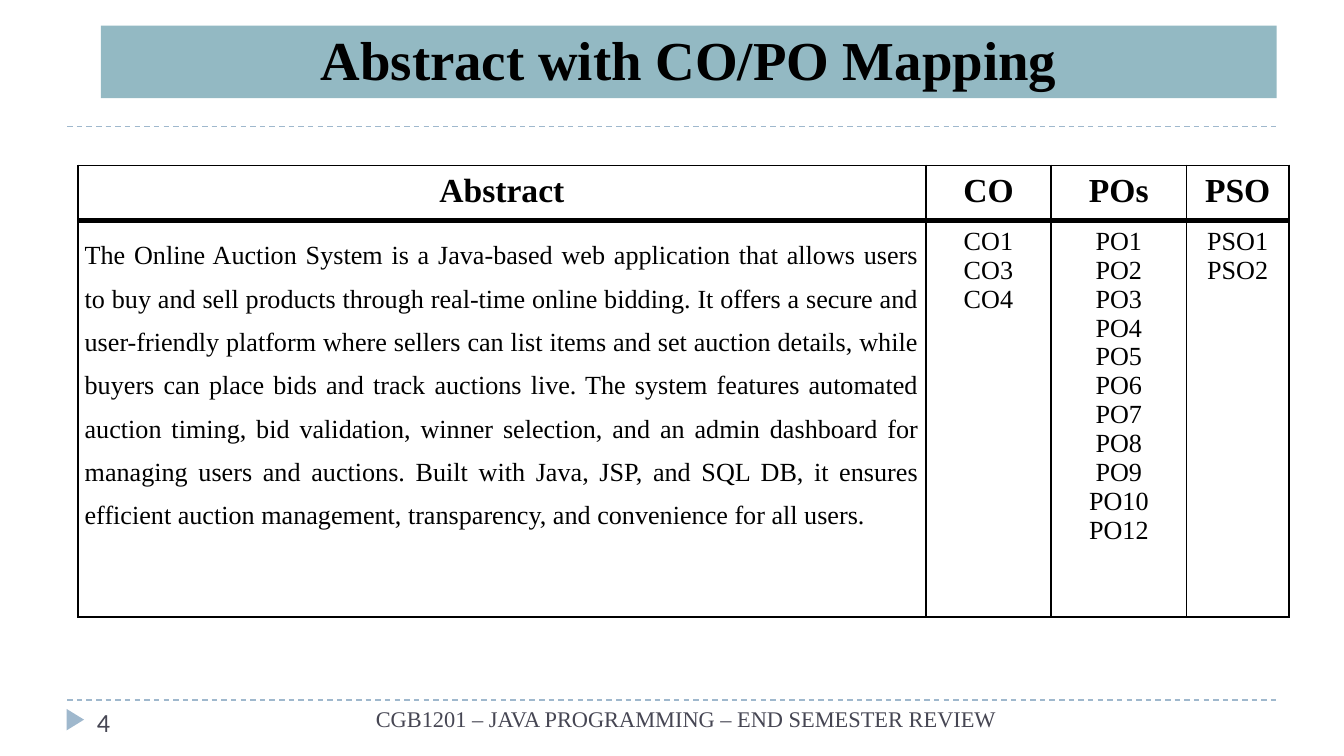
from lxml.etree import SubElement
from pptx import Presentation
from pptx.dml.color import RGBColor
from pptx.enum.dml import MSO_LINE
from pptx.enum.shapes import MSO_CONNECTOR, MSO_SHAPE
from pptx.enum.text import MSO_ANCHOR, MSO_AUTO_SIZE, PP_ALIGN as ALIGN
from pptx.oxml.ns import qn
from pptx.util import Inches, Pt

BLACK = RGBColor(0, 0, 0)
SLATE = RGBColor(0x46, 0x46, 0x53)
TEAL = RGBColor(0x93, 0xB9, 0xC3)
BLUE = RGBColor(0x9F, 0xB8, 0xCD)
SERIF = "Times New Roman"
PAD = Inches(0.05)
SIDES = ("left", "top", "right", "bottom")

ABSTRACT = (
    "The Online Auction System is a Java-based web application that allows "
    "users to buy and sell products through real-time online bidding. It "
    "offers a secure and user-friendly platform where sellers can list items "
    "and set auction details, while buyers can place bids and track auctions "
    "live. The system features automated auction timing, bid validation, "
    "winner selection, and an admin dashboard for managing users and auctions. "
    "Built with Java, JSP, and SQL DB, it ensures efficient auction management, "
    "transparency, and convenience for all users."
)
HEADS = ("Abstract", "CO", "POs", "PSO")
COS = [f"CO{n}" for n in (1, 3, 4)]
POS = [f"PO{n}" for n in (*range(1, 11), 12)]
PSOS = ["PSO1\nPSO2"]
WIDTHS = (6.31, 0.93, 1.01, 0.76)
HEIGHTS = (0.41, 2.95)


def write(frame, texts, size, color=BLACK, name=SERIF, bold=False,
          align=ALIGN.CENTER, space=1.0):
    """Fill a text frame with one paragraph for each text."""
    for i, text in enumerate(texts):
        para = frame.paragraphs[0] if i == 0 else frame.add_paragraph()
        para.alignment, para.line_spacing = align, space
        for j, line in enumerate(text.split("\n")):
            if j:
                para.add_line_break()
            run = para.add_run()
            run.text = line
            for key, val in {"size": Pt(size), "name": name, "bold": bold}.items():
                setattr(run.font, key, val)
            run.font.color.rgb = color


def pad(item):
    for side in SIDES:
        setattr(item, f"margin_{side}", PAD)


def add_rule(slide, x, y, w):
    """Draw a dashed line across the slide."""
    rule = slide.shapes.add_connector(
        MSO_CONNECTOR.STRAIGHT, Inches(x), Inches(y), Inches(x + w), Inches(y))
    for key, val in {"width": Pt(0.75), "dash_style": MSO_LINE.DASH}.items():
        setattr(rule.line, key, val)
    rule.line.color.rgb = BLUE
    SubElement(rule._element.spPr, qn("a:effectLst"))


def add_text(slide, x, y, w, h, text, size, wrap=True, **style):
    box = slide.shapes.add_textbox(Inches(x), Inches(y), Inches(w), Inches(h))
    frame = box.text_frame
    frame.word_wrap = wrap
    pad(frame)
    write(frame, [text], size, SLATE, **style)


def add_title(slide, x, y, w, h):
    title = slide.shapes.title
    place = {"left": x, "top": y, "width": w, "height": h}
    for key, val in place.items():
        setattr(title, key, Inches(val))
    title.fill.solid()
    title.fill.fore_color.rgb = TEAL
    frame = title.text_frame
    form = {"vertical_anchor": MSO_ANCHOR.BOTTOM, "word_wrap": True,
            "auto_size": MSO_AUTO_SIZE.NONE}
    for key, val in form.items():
        setattr(frame, key, val)
    pad(frame)
    write(frame, ["Abstract with CO/PO Mapping"], 29.4, bold=True)


def add_border(cell, widths):
    """Set the cell's left, right, top and bottom lines, in points."""
    props = cell._tc.get_or_add_tcPr()
    for i, (side, width) in enumerate(widths.items()):
        line = SubElement(props, qn(f"a:ln{side}"), w=str(Pt(width)))
        fill = SubElement(line, qn("a:solidFill"))
        SubElement(fill, qn("a:srgbClr"), val=str(BLACK))
        props.insert(i, line)


def add_grid(slide, x, y, w, h):
    """Place the mapping table: a head row over one body row."""
    grid = slide.shapes.add_table(
        len(HEIGHTS), len(WIDTHS), Inches(x), Inches(y), Inches(w), Inches(h)).table
    for col, width in zip(grid.columns, WIDTHS):
        col.width = Inches(width)
    for row, height in zip(grid.rows, HEIGHTS):
        row.height = Inches(height)
    for cell in grid.iter_cells():
        pad(cell)
        cell.fill.background()
    head, body = ([grid.cell(r, c) for c in range(len(HEADS))] for r in range(2))
    for cell, text in zip(head, HEADS):
        write(cell.text_frame, [text], 18, bold=True)
        add_border(cell, {"L": 1, "R": 1, "T": 1, "B": 3})
    for cell in body:
        add_border(cell, {"L": 1, "R": 1, "T": 3, "B": 1})
    write(body[0].text_frame, [ABSTRACT], 14, align=ALIGN.JUSTIFY, space=1.5)
    for cell, codes in zip(body[1:], (COS, POS, PSOS)):
        write(cell.text_frame, codes, 14)
    # The first PSO line stands left of the second.
    para = body[3].text_frame.paragraphs[0]
    para._p.get_or_add_pPr().set("indent", str(Inches(-0.21)))


def add_footer(slide, x, y, w):
    add_rule(slide, x, y, w)
    mark = slide.shapes.add_shape(
        MSO_SHAPE.ISOSCELES_TRIANGLE, Inches(x - 0.02), Inches(y + 0.08),
        Inches(0.16), Inches(0.13))
    mark.rotation = 90
    mark.shadow.inherit = False
    mark.fill.solid()
    mark.fill.fore_color.rgb = BLUE
    mark.line.fill.background()
    add_text(slide, x + 2.09, y - 0.01, 5.07, 0.3,
             "CGB1201 – JAVA PROGRAMMING – END SEMESTER REVIEW ", 12)
    add_text(slide, x + 0.17, y, 0.21, 0.32, "4", 14, wrap=False,
             name="Calibri", align=ALIGN.LEFT)


def main():
    deck = Presentation()
    deck.slide_width = Inches(10)
    deck.slide_height = deck.slide_width * 9 // 16
    slide = deck.slides.add_slide(deck.slide_layouts[5])
    add_title(slide, 0.75, 0.19, 8.75, 0.54)
    add_rule(slide, 0.5, 0.94, 9)
    add_grid(slide, 0.58, 1.23, sum(WIDTHS), sum(HEIGHTS))
    add_footer(slide, 0.5, 5.21, 9)
    deck.save("out.pptx")


if __name__ == "__main__":
    main()
